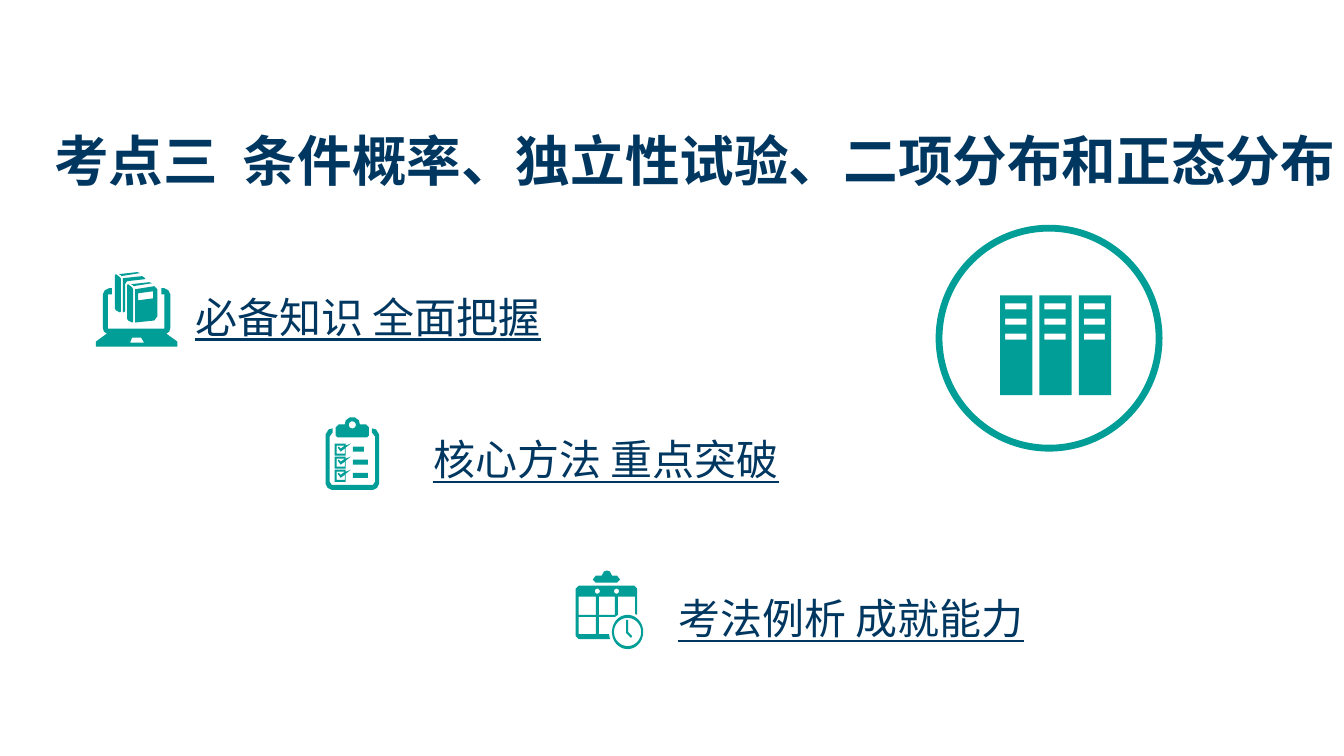
import math
from dataclasses import dataclass

import pptx
import pptx.dml.color
import pptx.enum.shapes
import pptx.enum.text
import pptx.oxml.ns
import pptx.util
from lxml import etree

PX = 9144  # EMU per px: 100 px to the inch


@dataclass(frozen=True)
class Theme:
    ink: str = "003760"
    accent: str = "009E96"
    title_font: str = "Arial"
    body_font: str = "Noto Sans CJK SC"
    title_size: int = 39
    entry_size: int = 30


THEME = Theme()


def color(code):
    return pptx.dml.color.RGBColor.from_string(code)


def place(shape, left, top, width, height):
    shape.left, shape.top = left * PX, top * PX
    shape.width, shape.height = width * PX, height * PX


def paint(shape):
    shape.shadow.inherit = False
    shape.fill.solid()
    shape.fill.fore_color.rgb = color(THEME.accent)
    shape.line.fill.background()


def write(shape, text, font, size, bold=False, underline=False, align="LEFT", wrap=True):
    frame = shape.text_frame
    frame.word_wrap = wrap
    frame.auto_size = pptx.enum.text.MSO_AUTO_SIZE.SHAPE_TO_FIT_TEXT
    frame.vertical_anchor = pptx.enum.text.MSO_ANCHOR.TOP
    paragraph = frame.paragraphs[0]
    paragraph.alignment = getattr(pptx.enum.text.PP_ALIGN, align)
    run = paragraph.add_run()
    run.text = text
    run.font.name, run.font.size = font, pptx.util.Pt(size)
    run.font.bold, run.font.underline = bold, underline
    run.font.color.rgb = color(THEME.ink)
    east_asian = etree.SubElement(run.font._element, pptx.oxml.ns.qn("a:ea"))
    east_asian.set("typeface", THEME.body_font)


def box(left, top, width, height):
    return [(left, top), (left + width, top),
            (left + width, top + height), (left, top + height)]


def oval(left, top, width, height, steps=40):
    angles = [2 * math.pi * step / steps for step in range(steps)]
    return [(left + width / 2 * (1 + math.cos(angle)),
             top + height / 2 * (1 + math.sin(angle))) for angle in angles]


def shift(contour, right, down):
    return [(x + right, y + down) for x, y in contour]


def laptop():
    case = [(12, 22), (16, 22), (16, 16), (13, 16), (9, 18), (7, 22), (7, 55), (8, 59),
            (11, 61), (0, 69), (0, 74), (81, 74), (81, 69), (70, 61), (73, 59), (74, 55),
            (74, 22), (72, 18), (68, 16), (65, 16), (65, 22), (68, 22), (68, 56), (12, 56)]
    notch = [(36, 65), (45, 65), (48, 70), (34, 70)]
    pages = [(23, 2), (25, 3), (25, 4), (44, 1), (41, 0)]
    spine = [(20, 2), (24, 5), (25, 7), (25, 39), (24, 40), (20, 38), (19, 36), (19, 3)]
    back_cover = [(27, 6), (46, 4), (49, 6), (49, 7), (31, 9), (29, 12), (29, 39), (27, 40)]
    front_cover = [(39, 17), (58, 14), (61, 17), (61, 44), (58, 48), (39, 50)]
    label = [(42, 21), (57, 19), (57, 26), (42, 28)]
    books = [shift(part, 12 * index, 10 * index)
             for index in range(2) for part in (pages, spine)]
    return [case, notch, *books, back_cover, front_cover, label]


def clipboard():
    board = [(7, 11), (3, 12), (0, 17), (0, 66), (2, 70), (6, 72), (47, 72), (51, 70),
             (53, 66), (53, 17), (50, 12), (46, 11), (46, 15), (49, 19), (49, 64),
             (47, 67), (6, 67), (4, 64), (4, 19), (7, 15)]
    clip = [(10, 10), (13, 7), (19, 7), (20, 3), (24, 0), (29, 0), (33, 3), (34, 7),
            (40, 7), (43, 10), (43, 18), (41, 20), (12, 20), (10, 18)]
    tick = [(12, 4), (13, 3), (15, 5), (19, 2), (19, 5), (15, 8)]
    tick_end = [(20, 2), (25, 0), (20, 4)]
    contours = [board, clip, oval(23, 4, 7, 7)]
    for row, bar_width in enumerate((11, 15, 15)):
        parts = [box(9, 0, 11, 12), box(11, 2, 8, 8), tick, tick_end,
                 box(27, 3, bar_width, 5)]
        contours += [shift(part, 0, 26 + 13 * row) for part in parts]
    return contours


def calendar():
    clip = [(17, 9), (20, 12), (41, 12), (44, 9), (41, 5), (36, 5), (34, 1), (31, 0),
            (28, 1), (26, 5), (20, 5)]
    sheet = [(0, 18), (3, 15), (58, 15), (61, 18), (61, 44), (59, 43), (59, 26), (42, 26),
             (42, 44), (39, 46), (23, 46), (23, 63), (33, 63), (34, 68), (3, 68), (0, 65)]
    cells = [box(3, 26, 17, 18), box(23, 26, 16, 18), box(3, 46, 17, 17)]
    holes = [oval(left, 18, 5, 5) for left in (19, 38)]
    clock = [oval(36, 44, 31, 34), oval(38, 47, 27, 28)]
    hands = [(50, 49), (52, 49), (52, 61), (56, 65), (55, 67), (50, 62)]
    return [clip, sheet, *cells, *holes, *clock, hands]


def binders():
    contours = []
    for left in range(0, 117, 39):
        contours.append(box(left, 0, 32, 99))
        contours += [box(left + 5, 8 + 15 * slot, 21, 6) for slot in range(3)]
    return contours


def add_icon(slide, contours, left, top):
    """Draw all contours as one outline; a contour inside another cuts a hole."""
    points = [[(x * PX, y * PX) for x, y in shift(contour, left, top)]
              for contour in contours]
    builder = slide.shapes.build_freeform(*points[0][0], scale=1.0)
    for index, contour in enumerate(points):
        if index:
            builder.move_to(*contour[0])
        builder.add_line_segments(contour[1:], close=True)
    paint(builder.convert_to_shape())


def add_title(slide, text, left, top, width, height):
    title = slide.shapes.title
    place(title, left, top, width, height)
    write(title, text, THEME.title_font, THEME.title_size, bold=True, align="CENTER")


def add_entry(slide, text, icon, left, top, text_left, text_top):
    """Place an icon, and its underlined heading offset from the icon's corner."""
    add_icon(slide, icon, left, top)
    heading = slide.shapes.add_textbox(0, 0, 0, 0)
    place(heading, left + text_left, top + text_top, 369, 61)
    write(heading, text, THEME.body_font, THEME.entry_size, underline=True, wrap=False)


def add_emblem(slide, left, top, size):
    ring = slide.shapes.add_shape(pptx.enum.shapes.MSO_SHAPE.DONUT, 0, 0, 0, 0)
    place(ring, left, top, size, size)
    ring.adjustments[0] = 0.03
    paint(ring)
    add_icon(slide, binders(), left + 64, top + 70)


def add_section_slide(presentation):
    slide = presentation.slides.add_slide(presentation.slide_layouts[5])
    add_title(slide, "考点三  条件概率、独立性试验、二项分布和正态分布", 34, 121, 1310, 75)
    add_emblem(slide, 928, 223, 225)
    add_entry(slide, "必备知识 全面把握", laptop(), 95, 270, 89, 14)
    add_entry(slide, "核心方法 重点突破", clipboard(), 323, 414, 97, 11)
    add_entry(slide, "考法例析 成就能力", calendar(), 571, 566, 92, 17)


def main():
    presentation = pptx.Presentation()
    presentation.slide_width, presentation.slide_height = 1333 * PX, 750 * PX
    add_section_slide(presentation)
    presentation.save("out.pptx")


if __name__ == "__main__":
    main()
